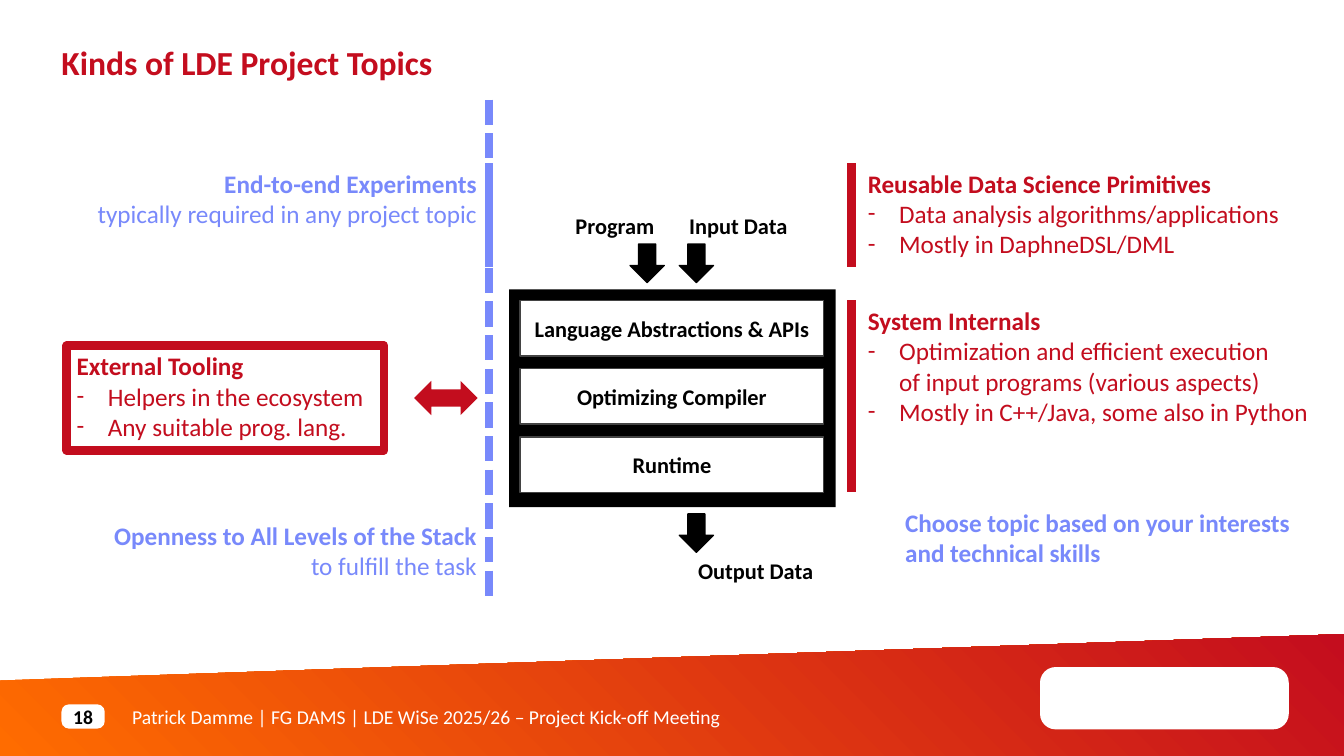
from dataclasses import dataclass, replace

from lxml import etree
from pptx import Presentation
from pptx.dml.color import RGBColor
from pptx.enum.dml import MSO_LINE
from pptx.enum.shapes import MSO_CONNECTOR, MSO_SHAPE
from pptx.enum.text import MSO_ANCHOR, MSO_AUTO_SIZE, PP_ALIGN
from pptx.oxml.ns import qn
from pptx.util import Cm, Pt

LEFT, CENTER, RIGHT = PP_ALIGN.LEFT, PP_ALIGN.CENTER, PP_ALIGN.RIGHT
TOP, MIDDLE = MSO_ANCHOR.TOP, MSO_ANCHOR.MIDDLE
RECTANGLE, ROUNDED = MSO_SHAPE.RECTANGLE, MSO_SHAPE.ROUNDED_RECTANGLE
DOWN_ARROW, DOUBLE_ARROW = MSO_SHAPE.DOWN_ARROW, MSO_SHAPE.LEFT_RIGHT_ARROW
STRAIGHT = MSO_CONNECTOR.STRAIGHT
SQUARE_DOT = MSO_LINE.SQUARE_DOT
FIT_SHAPE = MSO_AUTO_SIZE.SHAPE_TO_FIT_TEXT

FONT = "Calibri"
COLORS = {
    "black": "000000",
    "white": "FFFFFF",
    "gray": "434343",
    "orange": "FF6C00",
    "band red": "C40D1E",
    "red": "C30D1E",
    "blue": "7889FB",
}
SLIDE_WIDTH, SLIDE_HEIGHT = 33.87, 19.05
INDENT = 0.79


@dataclass(frozen=True)
class Area:
    left: float
    top: float
    width: float
    height: float


@dataclass(frozen=True)
class Style:
    size: int
    color: str
    align: PP_ALIGN = LEFT
    anchor: MSO_ANCHOR = TOP
    wrap: bool = False
    inset: bool = True
    line_points: int = 0


@dataclass(frozen=True)
class Line:
    """One paragraph; a newline inside the text is a line break."""
    text: str
    bold: bool = True
    bullet: bool = False


@dataclass(frozen=True)
class Label:
    area: Area
    style: Style
    lines: tuple[Line, ...]


@dataclass(frozen=True)
class Rule:
    x: float
    top: float
    bottom: float
    color: str
    dotted: bool = False


def rgb(name: str) -> RGBColor:
    return RGBColor.from_string(COLORS[name])


def bounds(area: Area) -> tuple[Cm, Cm, Cm, Cm]:
    return Cm(area.left), Cm(area.top), Cm(area.width), Cm(area.height)


def add_bullet(para) -> None:
    properties = para._p.get_or_add_pPr()
    properties.set("marL", str(Cm(INDENT)))
    properties.set("indent", str(-Cm(INDENT)))
    etree.SubElement(properties, qn("a:buFont")).set("typeface", FONT)
    etree.SubElement(properties, qn("a:buChar")).set("char", "-")


def write(frame, style: Style, lines: tuple[Line, ...]) -> None:
    frame.word_wrap = style.wrap
    frame.vertical_anchor = style.anchor
    if not style.inset:
        frame.margin_left = frame.margin_right = Cm(0)
        frame.margin_top = frame.margin_bottom = Cm(0)
    for index, line in enumerate(lines):
        para = frame.add_paragraph() if index else frame.paragraphs[0]
        para.alignment = style.align
        if style.line_points:
            para.line_spacing = Pt(style.line_points)
        if line.bullet:
            add_bullet(para)
        for part, text in enumerate(line.text.split("\n")):
            if part:
                para.add_line_break()
            span = para.add_run()
            span.text = text
            span.font.name = FONT
            span.font.size = Pt(style.size)
            span.font.bold = line.bold
            span.font.color.rgb = rgb(style.color)


def add_label(page, label: Label) -> None:
    box = page.shapes.add_textbox(*bounds(label.area))
    write(box.text_frame, label.style, label.lines)
    if not label.style.wrap:
        box.text_frame.auto_size = FIT_SHAPE


def add_block(page, kind: MSO_SHAPE, area: Area, fill: str,
              line: str = "", points: int = 1):
    """Add a filled preset shape, outlined only when a line colour is given."""
    block = page.shapes.add_shape(kind, *bounds(area))
    block.shadow.inherit = False
    block.fill.solid()
    block.fill.fore_color.rgb = rgb(fill)
    if line:
        block.line.color.rgb = rgb(line)
        block.line.width = Pt(points)
    else:
        block.line.fill.background()
    return block


def add_rule(page, rule: Rule) -> None:
    connector = page.shapes.add_connector(
        STRAIGHT, Cm(rule.x), Cm(rule.top), Cm(rule.x), Cm(rule.bottom))
    connector.line.color.rgb = rgb(rule.color)
    connector.line.width = Pt(6)
    if rule.dotted:
        connector.line.dash_style = SQUARE_DOT
    etree.SubElement(connector._element.spPr, qn("a:effectLst"))


def add_footer(page) -> None:
    builder = page.shapes.build_freeform(Cm(0), Cm(17.15))
    builder.add_line_segments([
        (Cm(SLIDE_WIDTH), Cm(15.98)),
        (Cm(SLIDE_WIDTH), Cm(SLIDE_HEIGHT)),
        (Cm(0), Cm(SLIDE_HEIGHT)),
    ], close=True)
    band = builder.convert_to_shape()
    band.shadow.inherit = False
    band.line.fill.background()
    band.fill.gradient()
    band.fill.gradient_angle = 45
    for stop, color in zip(band.fill.gradient_stops, ("orange", "band red")):
        stop.color.rgb = rgb(color)

    footer = Style(14, "white", anchor=MIDDLE, wrap=True, inset=False)
    add_label(page, Label(Area(3.33, 17.75, 21.16, 0.61), footer, (
        Line("Patrick Damme | FG DAMS | LDE WiSe 2025/26 – Project Kick-off Meeting", bold=False),)))
    panel = add_block(page, ROUNDED, Area(26.21, 16.81, 6.27, 1.57), "white")
    panel.adjustments[0] = 0.25
    badge = add_block(page, ROUNDED, Area(1.55, 17.75, 1.09, 0.61), "white")
    badge.adjustments[0] = 0.3
    write(badge.text_frame, replace(footer, color="black", align=CENTER), (Line("18"),))


def add_stack(page) -> None:
    for left, top in ((15.88, 6.15), (17.12, 6.15), (17.12, 12.95)):
        add_block(page, DOWN_ARROW, Area(left, top, 0.86, 0.97), "black", "black")
    add_block(page, RECTANGLE, Area(12.83, 7.29, 8.23, 5.49), "black")
    style = Style(16, "black", CENTER, MIDDLE, wrap=True)
    for row, name in enumerate(("Language Abstractions & APIs", "Optimizing Compiler", "Runtime")):
        layer = add_block(page, RECTANGLE, Area(13.11, 7.57 + 1.72 * row, 7.65, 1.4),
                          "white", "gray")
        write(layer.text_frame, style, (Line(name),))


def topic(heading: str, *points: str) -> tuple[Line, ...]:
    return (Line(heading), *(Line(point, bold=False, bullet=True) for point in points))


FLOW = Style(16, "black")
TOPIC = Style(18, "red")
REMARK = Style(18, "blue")
LABELS = (
    Label(Area(1.55, 1.09, 23.09, 1.98),
          Style(24, "band red", wrap=True, inset=False, line_points=28),
          (Line("Kinds of LDE Project Topics"),)),
    Label(Area(14.2, 5.21, 2.54, 0.94), replace(FLOW, align=RIGHT), (Line("Program"),)),
    Label(Area(17.12, 5.21, 3.02, 0.94), FLOW, (Line("Input Data"),)),
    Label(Area(17.32, 13.92, 3.45, 0.94), replace(FLOW, align=CENTER), (Line("Output Data"),)),
    Label(Area(21.62, 7.57, 11.73, 3.33), TOPIC, topic(
        "System Internals",
        "Optimization and efficient execution\nof input programs (various aspects)",
        "Mostly in C++/Java, some also in Python")),
    Label(Area(21.62, 4.11, 11, 2.57), TOPIC, topic(
        "Reusable Data Science Primitives",
        "Data analysis algorithms/applications",
        "Mostly in DaphneDSL/DML")),
    Label(Area(1.96, 4.11, 10.31, 1.8), replace(REMARK, align=RIGHT), (
        Line("End-to-end Experiments"),
        Line("typically required in any project topic", bold=False))),
    Label(Area(2.54, 12.98, 9.73, 1.8), replace(REMARK, align=RIGHT), (
        Line("Openness to All Levels of the Stack"),
        Line("to fulfill the task", bold=False))),
    Label(Area(22.56, 12.65, 10.41, 1.8), REMARK, (
        Line("Choose topic based on your interests\nand technical skills"),)),
)
RULES = (
    Rule(21.46, 7.57, 12.4, "red"),
    Rule(21.46, 4.11, 6.73, "red"),
    Rule(12.32, 2.51, 15.11, "blue", dotted=True),
    Rule(12.32, 4.11, 6.73, "blue"),
)


def main() -> None:
    deck = Presentation()
    deck.slide_width, deck.slide_height = Cm(SLIDE_WIDTH), Cm(SLIDE_HEIGHT)
    page = deck.slides.add_slide(deck.slide_layouts[6])
    add_footer(page)
    add_stack(page)
    tooling = add_block(page, RECTANGLE, Area(1.68, 8.71, 8, 2.64), "white", "red", 6)
    write(tooling.text_frame, replace(TOPIC, wrap=True), topic(
        "External Tooling", "Helpers in the ecosystem", "Any suitable prog. lang."))
    add_block(page, DOUBLE_ARROW, Area(10.44, 9.6, 1.6, 0.86), "red")
    for label in LABELS:
        add_label(page, label)
    for rule in RULES:
        add_rule(page, rule)
    deck.save("out.pptx")


if __name__ == "__main__":
    main()
